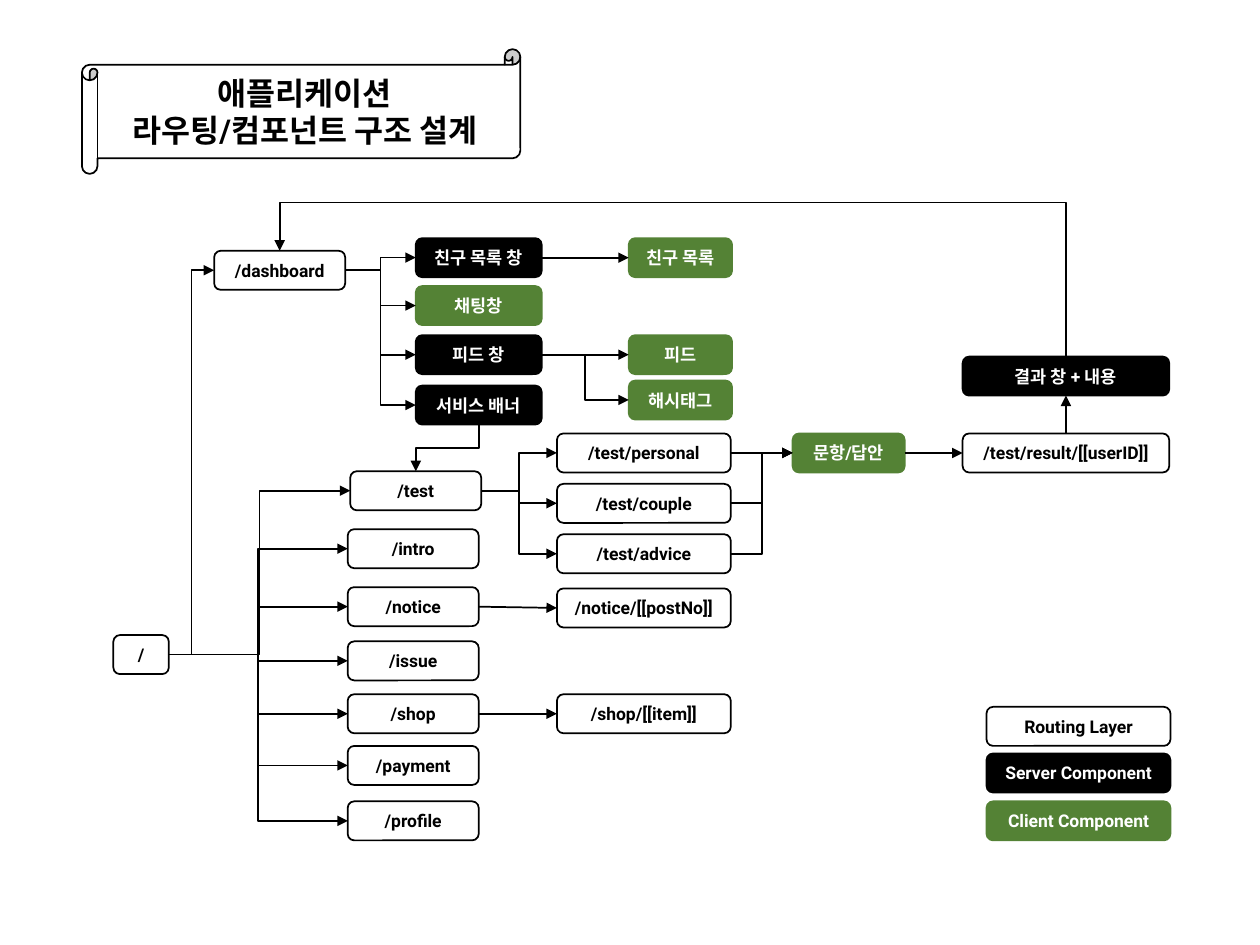
"""Builds the application routing and component structure slide."""
from dataclasses import dataclass

from lxml import etree
from pptx import Presentation
from pptx.dml.color import RGBColor
from pptx.enum.shapes import MSO_CONNECTOR, MSO_SHAPE
from pptx.enum.text import MSO_ANCHOR, MSO_AUTO_SIZE, PP_ALIGN
from pptx.oxml.ns import qn
from pptx.util import Inches, Pt

ROUNDED, SCROLL = MSO_SHAPE.ROUNDED_RECTANGLE, MSO_SHAPE.HORIZONTAL_SCROLL
STRAIGHT, ELBOW = MSO_CONNECTOR.STRAIGHT, MSO_CONNECTOR.ELBOW
MIDDLE, CENTER, NO_FIT = MSO_ANCHOR.MIDDLE, PP_ALIGN.CENTER, MSO_AUTO_SIZE.NONE
TOP, LEFT, BOTTOM, RIGHT = range(4)
FONT = "Roboto"
BLACK, WHITE, GREEN = "000000", "FFFFFF", "548235"
BOX_HEIGHT = 0.31


@dataclass(frozen=True)
class Style:
    """Colours of one kind of box."""
    fill: str
    line: str
    text: str


ROUTE = Style(WHITE, BLACK, BLACK)
SERVER = Style(BLACK, BLACK, WHITE)
CLIENT = Style(GREEN, GREEN, WHITE)


@dataclass(frozen=True)
class Node:
    """A labelled box of the diagram."""
    label: str
    left: float
    top: float
    width: float
    style: Style = ROUTE


@dataclass(frozen=True)
class Arrow:
    """An arrow between two boxes, named by their labels."""
    source: str
    target: str
    start: int = RIGHT
    end: int = LEFT
    bend: float = 0.5


def column(left, width, rows):
    """Return the nodes of one column from (label, top, style) rows."""
    return [Node(label, left, top, width, style) for label, top, style in rows]


PAGES = {"/intro": 4.2, "/notice": 4.66, "/issue": 5.09,
         "/shop": 5.51, "/payment": 5.92, "/profile": 6.36}
TESTS = ["/test/personal", "/test/couple", "/test/advice"]
PANELS = [("친구 목록 창", 1.89, SERVER), ("채팅창", 2.27, CLIENT),
          ("피드 창", 2.66, SERVER), ("서비스 배너", 3.06, SERVER)]

NODES = [
    Node("/", 0.9, 5.04, 0.44),
    Node("/dashboard", 1.7, 1.99, 1.04),
    Node("/test", 2.78, 3.74, 1.04),
    *column(2.76, 1.04, [(label, top, ROUTE) for label, top in PAGES.items()]),
    *column(3.3, 1.0, PANELS),
    *column(4.99, 0.82, [("친구 목록", 1.89, CLIENT), ("피드", 2.66, CLIENT),
                         ("해시태그", 3.02, CLIENT)]),
    *column(4.42, 1.38, [(label, 3.44 + 0.4 * row, ROUTE) for row, label in enumerate(TESTS)]),
    *column(4.42, 1.38, [("/notice/[[postNo]]", 4.67, ROUTE), ("/shop/[[item]]", 5.51, ROUTE)]),
    Node("문항/답안", 6.29, 3.44, 0.89, CLIENT),
    *column(7.64, 1.64, [("/test/result/[[userID]]", 3.44, ROUTE), ("결과 창 + 내용", 2.83, SERVER)]),
    *column(7.83, 1.46, [("Routing Layer", 5.61, ROUTE), ("Server Component", 5.98, SERVER),
                         ("Client Component", 6.36, CLIENT)]),
]

ARROWS = [
    *[Arrow("/", label) for label in ("/dashboard", "/test", *PAGES)],
    *[Arrow("/dashboard", label) for label, _, _ in PANELS],
    *[Arrow("/test", label) for label in TESTS],
    *[Arrow(label, "문항/답안") for label in TESTS],
    Arrow("친구 목록 창", "친구 목록"),
    Arrow("피드 창", "피드"),
    Arrow("피드 창", "해시태그"),
    Arrow("/notice", "/notice/[[postNo]]"),
    Arrow("/shop", "/shop/[[item]]"),
    Arrow("문항/답안", "/test/result/[[userID]]"),
    Arrow("서비스 배너", "/test", BOTTOM, TOP),
    Arrow("/test/result/[[userID]]", "결과 창 + 내용", TOP, BOTTOM),
    Arrow("결과 창 + 내용", "/dashboard", TOP, TOP, 1.455),
]


def color(value: str) -> RGBColor:
    """Turn a hex string into a colour."""
    return RGBColor.from_string(value)


def write(box, text: str, *, size: float, ink: str) -> None:
    """Write centred bold text, one paragraph a line."""
    frame = box.text_frame
    frame.auto_size, frame.word_wrap, frame.vertical_anchor = NO_FIT, True, MIDDLE
    for index, line in enumerate(text.split("\n")):
        para = frame.add_paragraph() if index else frame.paragraphs[0]
        para.alignment = CENTER
        span = para.add_run()
        span.text = line
        span.font.name, span.font.size, span.font.bold = FONT, Pt(size), True
        span.font.color.rgb = color(ink)


def add_box(page, preset, left: float, top: float, width: float, height: float, style: Style):
    """Add a filled and outlined preset shape."""
    box = page.shapes.add_shape(preset, Inches(left), Inches(top), Inches(width), Inches(height))
    box.shadow.inherit = False
    box.fill.solid()
    box.fill.fore_color.rgb = color(style.fill)
    box.line.color.rgb = color(style.line)
    box.line.width = Pt(1)
    return box


def add_node(page, node: Node):
    """Draw a labelled box."""
    box = add_box(page, ROUNDED, node.left, node.top, node.width, BOX_HEIGHT, node.style)
    write(box, node.label, size=10, ink=node.style.text)
    return box


def turn_upright(link) -> None:
    """Rotate an elbow so that it leaves and arrives vertically."""
    across, down = link.end_x - link.begin_x, link.end_y - link.begin_y
    middle_x, middle_y = (link.begin_x + link.end_x) // 2, (link.begin_y + link.end_y) // 2
    link.width, link.height = abs(down), abs(across)
    link.left, link.top = middle_x - link.width // 2, middle_y - link.height // 2
    frame = link.element.spPr.find(qn("a:xfrm"))
    frame.set("rot", str((90 if down > 0 else 270) * 60000))
    frame.set("flipH", "0")
    frame.set("flipV", "1" if (across < 0) != (down > 0) else "0")


def add_arrow(page, arrow: Arrow, boxes: dict) -> None:
    """Draw an arrow glued to its two boxes."""
    link = page.shapes.add_connector(ELBOW, 0, 0, 0, 0)
    link.begin_connect(boxes[arrow.source], arrow.start)
    link.end_connect(boxes[arrow.target], arrow.end)
    link.line.color.rgb = color(BLACK)
    link.line.width = Pt(1)
    properties = link.element.spPr
    geometry = properties.find(qn("a:prstGeom"))
    if min(link.width, link.height) < Inches(0.03):
        geometry.set("prst", "line")
    else:
        if arrow.start in (TOP, BOTTOM):
            turn_upright(link)
        guides = geometry.find(qn("a:avLst"))
        etree.SubElement(guides, qn("a:gd"), name="adj1", fmla=f"val {round(arrow.bend * 100000)}")
    etree.SubElement(properties.find(qn("a:ln")), qn("a:tailEnd"), type="triangle")
    etree.SubElement(properties, qn("a:effectLst"))


def add_title(page, text: str) -> None:
    """Place the title on a scroll."""
    title = page.shapes.title
    scroll = add_box(page, SCROLL, 0.65, 0.39, 3.48, 0.99, ROUTE)
    title.element.addprevious(scroll.element)
    title.left, title.top = Inches(0.77), Inches(0.51)
    title.width, title.height = Inches(3.3), Inches(0.75)
    write(title, text, size=18, ink=BLACK)


def build() -> None:
    """Build and save the deck."""
    deck = Presentation()
    deck.slide_width, deck.slide_height = Inches(10), Inches(7.5)
    page = deck.slides.add_slide(deck.slide_layouts[5])
    add_title(page, "애플리케이션\n라우팅/컴포넌트 구조 설계")
    boxes = {node.label: add_node(page, node) for node in NODES}
    for arrow in ARROWS:
        add_arrow(page, arrow, boxes)
    deck.save("out.pptx")


build()
